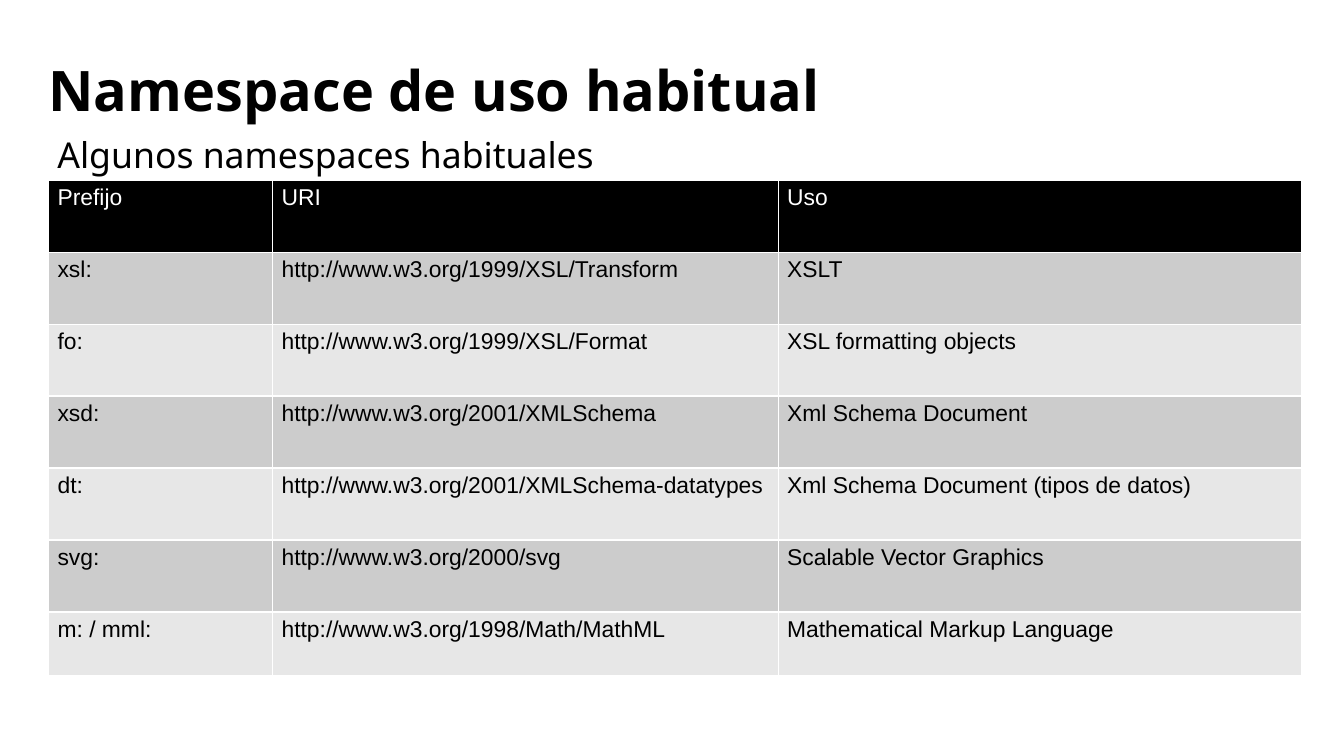
from typing import NamedTuple

from lxml.etree import SubElement
from pptx import Presentation
from pptx.dml.color import RGBColor
from pptx.enum.text import MSO_ANCHOR, MSO_AUTO_SIZE, PP_ALIGN
from pptx.oxml.ns import qn
from pptx.util import Pt

BLACK, WHITE = "000000", "FFFFFF"
BAND_FILLS = ("CCCCCC", "E7E7E7")
HEADING_FONT, TABLE_FONT = "Noto Sans", "Arial"
LEFT, CONTENT_WIDTH = 38.16, 987.12
COLUMN_WIDTHS = (176.4, 398.16, 412.56)
ROW_HEIGHT, LAST_ROW_HEIGHT = 56.7, 50.4
BORDER_WIDTH = 0.96


class Namespace(NamedTuple):
    prefix: str
    uri: str
    usage: str


HEADER = Namespace("Prefijo", "URI", "Uso")
NAMESPACES = (
    Namespace("xsl:", "http://www.w3.org/1999/XSL/Transform", "XSLT"),
    Namespace("fo:", "http://www.w3.org/1999/XSL/Format", "XSL formatting objects"),
    Namespace("xsd:", "http://www.w3.org/2001/XMLSchema", "Xml Schema Document"),
    Namespace("dt:", "http://www.w3.org/2001/XMLSchema-datatypes",
              "Xml Schema Document (tipos de datos)"),
    Namespace("svg:", "http://www.w3.org/2000/svg", "Scalable Vector Graphics"),
    Namespace("m: / mml:", "http://www.w3.org/1998/Math/MathML",
              "Mathematical Markup Language"),
)


def set_color(color_format, color: str) -> None:
    color_format.rgb = RGBColor.from_string(color)


def add_run(paragraph, text: str, size: float, font: str, color: str = BLACK,
            bold: bool = False) -> None:
    run = paragraph.add_run()
    run.text = text
    run.font.size = Pt(size)
    run.font.name = font
    run.font.bold = bold
    set_color(run.font.color, color)


def place(shape, left: float, top: float, width: float, height: float) -> None:
    shape.left, shape.top = Pt(left), Pt(top)
    shape.width, shape.height = Pt(width), Pt(height)


def set_borders(cell, color: str, width: float) -> None:
    properties = cell._tc.get_or_add_tcPr()
    # Border lines come before the fill in the cell properties
    for position, side in enumerate(("lnL", "lnR", "lnT", "lnB")):
        line = SubElement(properties, qn(f"a:{side}"), w=str(Pt(width)))
        fill = SubElement(line, qn("a:solidFill"))
        SubElement(fill, qn("a:srgbClr"), val=color)
        properties.insert(position, line)


def add_title(slide, text: str) -> None:
    title = slide.shapes.title
    place(title, LEFT, 20.16, CONTENT_WIDTH, 106.56)
    frame = title.text_frame
    frame.margin_left = frame.margin_right = frame.margin_top = frame.margin_bottom = Pt(0)
    frame.vertical_anchor = MSO_ANCHOR.MIDDLE
    frame.auto_size = MSO_AUTO_SIZE.NONE
    paragraph = frame.paragraphs[0]
    paragraph.alignment = PP_ALIGN.LEFT
    paragraph.line_spacing = 0.9
    add_run(paragraph, text, 44, HEADING_FONT, bold=True)


def add_subtitle(slide, text: str) -> None:
    subtitle = slide.shapes.add_textbox(Pt(LEFT), Pt(100.8), Pt(982.08), Pt(40.32))
    frame = subtitle.text_frame
    frame.word_wrap = True
    frame.auto_size = MSO_AUTO_SIZE.SHAPE_TO_FIT_TEXT
    paragraph = frame.paragraphs[0]
    paragraph.space_before = paragraph.space_after = Pt(6)
    add_run(paragraph, text, 28, HEADING_FONT)


def add_namespace_table(slide) -> None:
    records = (HEADER, *NAMESPACES)
    height = ROW_HEIGHT * len(NAMESPACES) + LAST_ROW_HEIGHT
    table = slide.shapes.add_table(
        len(records), len(COLUMN_WIDTHS),
        Pt(LEFT), Pt(141.84), Pt(CONTENT_WIDTH), Pt(height)).table
    for column, width in zip(table.columns, COLUMN_WIDTHS):
        column.width = Pt(width)
    for index, (row, record) in enumerate(zip(table.rows, records)):
        is_last = index == len(NAMESPACES)
        row.height = Pt(LAST_ROW_HEIGHT if is_last else ROW_HEIGHT)
        fill_color = BAND_FILLS[(index - 1) % 2] if index else BLACK
        text_color = BLACK if index else WHITE
        for cell, text in zip(row.cells, record):
            cell.fill.solid()
            set_color(cell.fill.fore_color, fill_color)
            set_borders(cell, WHITE, BORDER_WIDTH)
            add_run(cell.text_frame.paragraphs[0], text, 18, TABLE_FONT, text_color)


def main() -> None:
    presentation = Presentation()
    presentation.slide_width, presentation.slide_height = Pt(1058.4), Pt(595.44)
    title_only = presentation.slide_layouts[5]
    slide = presentation.slides.add_slide(title_only)

    # Headings
    add_title(slide, "Namespace de uso habitual")
    add_subtitle(slide, "Algunos namespaces habituales")

    # Namespace listing
    add_namespace_table(slide)

    presentation.save("out.pptx")


if __name__ == "__main__":
    main()
